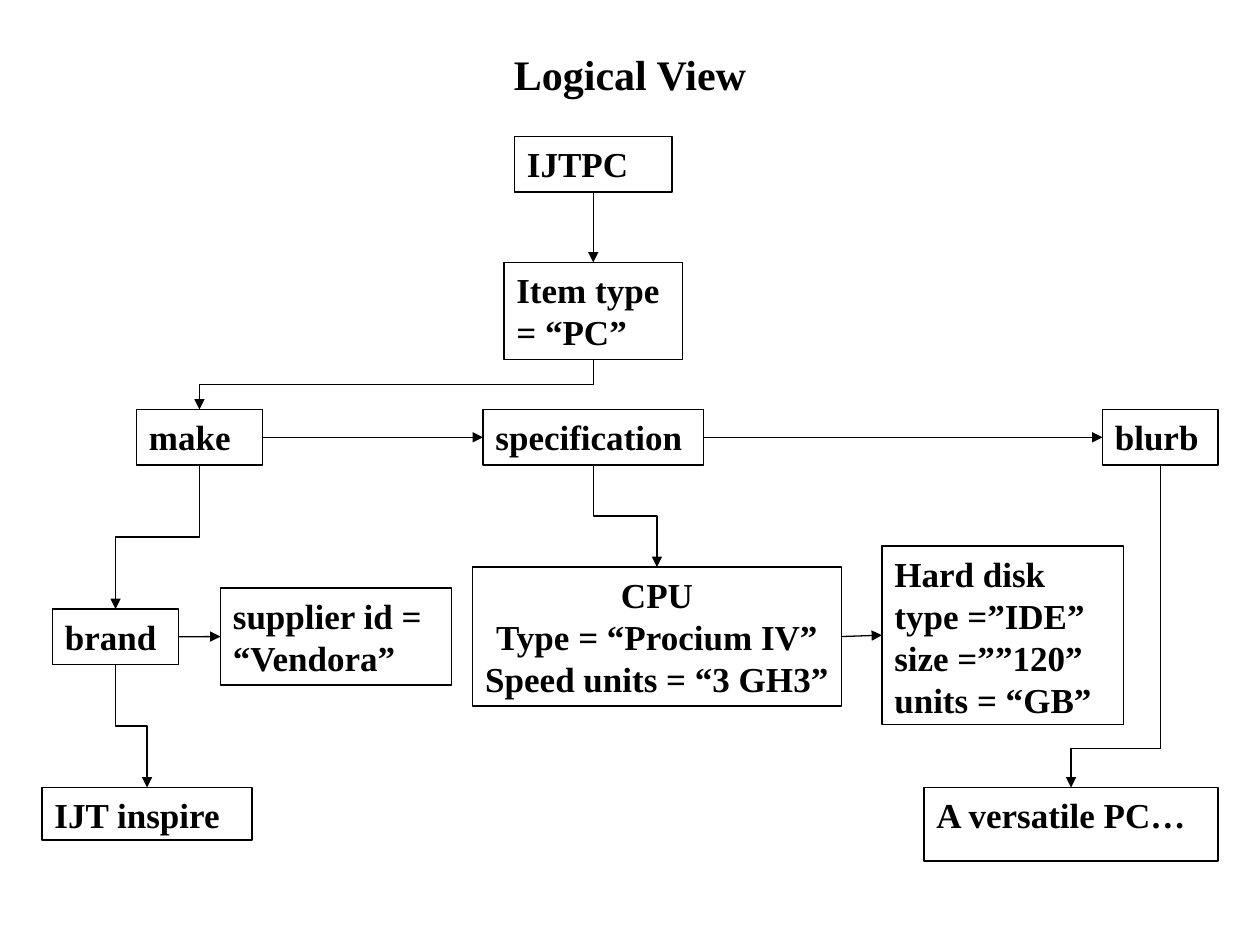
import dataclasses
import typing

import lxml.etree
import pptx
import pptx.dml.color
import pptx.enum.shapes
import pptx.enum.text
import pptx.oxml.ns
import pptx.util

HUES = {"ink": "000000", "paper": "FFFFFF"}
FONT = "Times New Roman"
UNIT = pptx.util.Inches(1) / 12  # grid of 120 columns by 90 rows
LINE, PAIR = 5.3, 9.25  # heights of one-line and two-line boxes, in rows

Fit = pptx.enum.text.MSO_AUTO_SIZE
Align = pptx.enum.text.PP_ALIGN
Kind = pptx.enum.shapes.MSO_CONNECTOR


@dataclasses.dataclass
class Box:
    col: float
    row: float
    wide: float
    high: float
    lines: tuple[str, ...]
    solid: bool = False
    mid: bool = False

    @property
    def axis(self) -> float:
        return self.col + self.wide / 2

    @property
    def level(self) -> float:
        return self.row + self.high / 2


@dataclasses.dataclass
class Link:
    start: str
    end: str
    down: bool = False
    bend: typing.Optional[float] = None  # share of the drop before the turn


BOXES = {
    "root": Box(49, 13, 15, LINE, ("IJTPC",)),
    "item": Box(48, 25, 17, PAIR, ("Item type = “PC”",)),
    "make": Box(13, 39, 12, LINE, ("make",)),
    "spec": Box(46, 39, 21, LINE, ("specification",)),
    "blurb": Box(105, 39, 11, LINE, ("blurb",)),
    "brand": Box(5, 58, 12, LINE, ("brand",)),
    "seller": Box(21, 56, 22, PAIR, ("supplier id = “Vendora”",)),
    "chip": Box(45, 54, 35.15, 13.25,
                ("CPU", "Type = “Procium IV”", "Speed units = “3 GH3”"), mid=True),
    "disk": Box(84, 52, 23, 17,
                ("Hard disk", "type =”IDE”", "size =””120”", "units = “GB”"), solid=True),
    "model": Box(4, 75, 20, 5, ("IJT inspire",), solid=True),
    "note": Box(88, 75, 28, 7, ("A versatile PC…",), solid=True),
}

LINKS = [
    Link("item", "make", True, 0.5),
    Link("make", "spec"),
    Link("spec", "blurb"),
    Link("root", "item", True),
    Link("make", "brand", True, 0.5),
    Link("brand", "seller"),
    Link("spec", "chip", True, 0.5),
    Link("chip", "disk"),
    Link("blurb", "note", True, 0.88),
    Link("brand", "model", True, 0.5),
]


def size(count: float) -> int:
    return round(count * UNIT)


def hue(name: str) -> pptx.dml.color.RGBColor:
    return pptx.dml.color.RGBColor.from_string(HUES[name])


def write(frame, lines: tuple[str, ...], points: int, align) -> None:
    for index, text in enumerate(lines):
        para = frame.add_paragraph() if index else frame.paragraphs[0]
        para.alignment = align
        run = para.add_run()
        run.text = text
        run.font.name = FONT
        run.font.size = pptx.util.Pt(points)
        run.font.bold = True
        run.font.color.rgb = hue("ink")


def draw_box(slide, box: Box) -> None:
    shape = slide.shapes.add_shape(
        pptx.enum.shapes.MSO_SHAPE.RECTANGLE,
        *map(size, (box.col, box.row, box.wide, box.high)))
    shape.shadow.inherit = False
    if box.solid:
        shape.fill.solid()
        shape.fill.fore_color.rgb = hue("paper")
    else:
        shape.fill.background()
    shape.line.color.rgb = hue("ink")
    shape.line.width = pptx.util.Pt(0.75)
    frame = shape.text_frame
    frame.word_wrap = True
    frame.auto_size = Fit.NONE if box.solid or box.mid else Fit.SHAPE_TO_FIT_TEXT
    anchor = pptx.enum.text.MSO_ANCHOR
    frame.vertical_anchor = anchor.MIDDLE if box.mid else anchor.TOP
    if box.mid:  # centred lines nearly fill the box, so give them room
        frame.margin_left = frame.margin_right = pptx.util.Inches(0.05)
    write(frame, box.lines, 20, Align.CENTER if box.mid else Align.LEFT)


def draw_link(slide, link: Link) -> None:
    head, foot = BOXES[link.start], BOXES[link.end]
    if link.down:
        ends = (head.axis, head.row + head.high, foot.axis, foot.row)
    else:
        ends = (head.col + head.wide, head.level, foot.col, foot.level)
    kind, turn = Kind.STRAIGHT, 0
    if link.bend is not None:
        # An elbow that leaves downwards is a level elbow turned about its centre
        kind = Kind.ELBOW
        x1, y1, x2, y2 = ends
        midx, midy = (x1 + x2) / 2, (y1 + y2) / 2
        half, rise = (y2 - y1) / 2, abs(x2 - x1) / 2
        side, turn = (1, 270) if x2 > x1 else (-1, 90)
        ends = (midx + side * half, midy - rise, midx - side * half, midy + rise)
    wire = slide.shapes.add_connector(kind, *map(size, ends))
    wire.line.color.rgb = hue("ink")
    wire.line.width = pptx.util.Pt(0.75)

    # Arrowhead, no shadow, and the turn of an elbow
    name = pptx.oxml.ns.qn
    props = wire._element.spPr
    lxml.etree.SubElement(props.find(name("a:ln")), name("a:tailEnd"), type="triangle")
    lxml.etree.SubElement(props, name("a:effectLst"))
    if link.bend is not None:
        props.find(name("a:xfrm")).set("rot", str(turn * 60000))
        guides = props.find(name("a:prstGeom")).find(name("a:avLst"))
        lxml.etree.SubElement(guides, name("a:gd"), name="adj1",
                              fmla=f"val {round(link.bend * 100000)}")


def main() -> None:
    deck = pptx.Presentation()
    deck.slide_width, deck.slide_height = size(120), size(90)
    slide = deck.slides.add_slide(deck.slide_layouts[6])

    # Title
    title = slide.shapes.add_textbox(*map(size, (4, 4, 112, 6))).text_frame
    title.word_wrap = True
    title.auto_size = Fit.SHAPE_TO_FIT_TEXT
    write(title, ("Logical View",), 24, Align.CENTER)

    # Tree of boxes and arrows
    for box in BOXES.values():
        draw_box(slide, box)
    for link in LINKS:
        draw_link(slide, link)
    deck.save("out.pptx")


if __name__ == "__main__":
    main()
